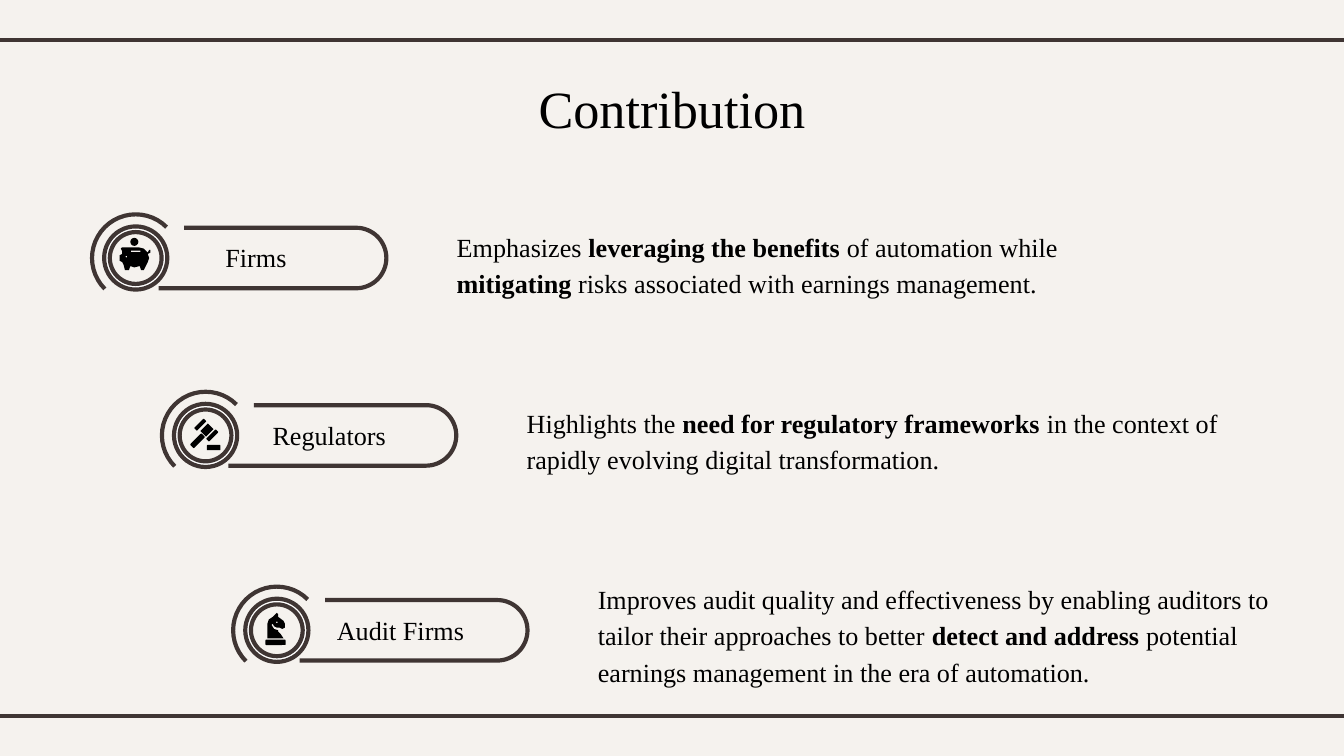
from math import cos, pi, sin

from lxml import etree
from pptx import Presentation
from pptx.dml.color import RGBColor
from pptx.enum.shapes import MSO_CONNECTOR, MSO_SHAPE as Shape
from pptx.enum.text import MSO_ANCHOR as Anchor, PP_ALIGN as Align
from pptx.oxml.ns import qn
from pptx.util import Inches, Pt

FONT = "Times New Roman"
PAPER, BROWN, BLACK, WHITE = "F5F2EE", "3F3533", "000000", "FFFFFF"

# Content: runs are (text, bold); centre is the middle of the round badge
TITLE = "Contribution"
ROWS = [
    {"label": "Firms", "label_width": 1.33, "icon": "piggy bank",
     "centre": (1.01, 1.92), "box": (3.3, 1.59, 4.94, 0.63),
     "runs": [("Emphasizes ", False), ("leveraging the benefits ", True),
              ("of automation while ", False), ("mitigating", True),
              (" risks associated with earnings management.", False)]},
    {"label": "Regulators", "label_width": 1.38, "icon": "gavel",
     "centre": (1.53, 3.24), "box": (3.82, 2.9, 5.89, 0.66),
     "runs": [("Highlights the ", False), ("need for regulatory frameworks ", True),
              ("in the context of rapidly evolving digital transformation.", False)]},
    {"label": "Audit Firms", "label_width": 1.38, "icon": "chess knight",
     "centre": (2.06, 4.69), "box": (4.35, 4.21, 5.5, 0.94),
     "runs": [("Improves audit quality and effectiveness by enabling auditors to "
               "tailor their approaches to better ", False),
              ("detect and address ", True),
              ("potential earnings management in the era of automation.", False)]},
]

# Icon outlines, measured from the badge centre
OUTLINES = {
    "piggy bank": [
        (-0.1, -0.08), (-0.11, -0.07), (-0.1, -0.05), (-0.1, -0.03), (-0.12, -0.02),
        (-0.12, 0.02), (-0.1, 0.03), (-0.09, 0.05), (-0.08, 0.09), (-0.05, 0.09),
        (-0.04, 0.06), (-0.01, 0.07), (0.03, 0.06), (0.04, 0.09), (0.06, 0.09),
        (0.09, 0.03), (0.1, 0), (0.09, -0.03), (0.11, -0.04), (0.11, -0.06),
        (0.1, -0.06), (0.09, -0.04), (0.06, -0.07), (0.02, -0.08)],
    "chess knight": [
        (0, -0.13), (-0.03, -0.1), (-0.06, -0.08), (-0.07, -0.05), (-0.07, 0.06),
        (0.05, 0.06), (0.03, 0.03), (0.01, 0.01), (0.01, 0), (-0.02, -0.01),
        (-0.04, -0.04), (-0.03, -0.05), (-0.02, -0.03), (0, -0.02), (0.02, -0.02),
        (0.04, -0.01), (0.06, -0.02), (0.06, -0.05), (0.05, -0.07), (0.01, -0.1),
        (0.01, -0.12)],
}
# Icon details: shape, centre x, centre y, width, height, rotation, colour
DETAILS = {
    "piggy bank": [
        (Shape.OVAL, -0.01, -0.12, 0.06, 0.06, 0, BLACK),
        (Shape.ROUNDED_RECTANGLE, 0, -0.05, 0.07, 0.01, 0, PAPER),
        (Shape.OVAL, -0.07, -0.01, 0.01, 0.01, 0, PAPER)],
    "gavel": [
        (Shape.ROUNDED_RECTANGLE, -0.04, -0.08, 0.1, 0.03, -45, BLACK),
        (Shape.ROUNDED_RECTANGLE, 0.05, 0, 0.1, 0.03, -45, BLACK),
        (Shape.RECTANGLE, 0.01, -0.04, 0.08, 0.06, -45, BLACK),
        (Shape.ROUNDED_RECTANGLE, -0.06, 0.04, 0.12, 0.04, -45, BLACK),
        (Shape.ROUND_2_SAME_RECTANGLE, 0.06, 0.09, 0.1, 0.04, 0, BLACK)],
    "chess knight": [
        (Shape.ROUNDED_RECTANGLE, -0.01, 0.09, 0.15, 0.04, 0, BLACK),
        (Shape.OVAL, 0, -0.06, 0.01, 0.01, 0, PAPER)],
}

# A 16:9 page
deck = Presentation()
deck.slide_width, deck.slide_height = Inches(10), Inches(10 * 9 / 16)
page = deck.slides.add_slide(deck.slide_layouts[6])


def color(value):
    return RGBColor.from_string(value)


def paint(shape, fill=None, line=None):
    shape.shadow.inherit = False
    if fill:
        shape.fill.solid()
        shape.fill.fore_color.rgb = color(fill)
    else:
        shape.fill.background()
    if line:
        shape.line.color.rgb = color(line)
        shape.line.width = Pt(2.25)
    else:
        shape.line.fill.background()


def add_centred(kind, x, y, width, height, fill=None, line=None):
    shape = page.shapes.add_shape(kind, Inches(x - width / 2), Inches(y - height / 2),
                                  Inches(width), Inches(height))
    paint(shape, fill, line)
    return shape


def add_outline(points, close, fill=None, line=None):
    start, *rest = [(Inches(x), Inches(y)) for x, y in points]
    builder = page.shapes.build_freeform(*start)
    builder.add_line_segments(rest, close=close)
    paint(builder.convert_to_shape(), fill, line)


def add_text(place, runs, size, align=Align.LEFT, inset=0.1, anchor=Anchor.TOP):
    box = page.shapes.add_textbox(*map(Inches, place))
    frame = box.text_frame
    frame.word_wrap = True
    frame.vertical_anchor = anchor
    frame.margin_top = frame.margin_bottom = Inches(inset)
    para = frame.paragraphs[0]
    para.alignment = align
    for text, bold in runs:
        span = para.add_run()
        span.text = text
        span.font.name, span.font.size, span.font.bold = FONT, Pt(size), bold
        span.font.color.rgb = color(BLACK)
    return para


def add_badge(x, y):
    # Pill open on the left, with a half-round right end
    radius = 0.225
    turns = [pi / 2 - pi * step / 32 for step in range(33)]
    bend = [(x + 1.64 + radius * cos(turn), y + radius * sin(turn)) for turn in turns]
    add_outline([(x + 0.17, y + radius), *bend, (x + 0.36, y - radius)], False, line=BROWN)
    # Ring and the half circle around it
    ring = add_centred(Shape.DONUT, x, y, 0.47, 0.47, WHITE, BROWN)
    ring.adjustments[0] = 0.09
    arc = add_centred(Shape.ARC, x, y, 0.65, 0.65, line=BROWN)
    for index, degrees in enumerate((135, 315)):
        arc.adjustments[index] = degrees * 0.6


def add_icon(name, x, y):
    if name in OUTLINES:
        add_outline([(x + dx, y + dy) for dx, dy in OUTLINES[name]], True, BLACK)
    for kind, dx, dy, width, height, rotation, fill in DETAILS[name]:
        add_centred(kind, x + dx, y + dy, width, height, fill).rotation = rotation


# Background and the two rules
page.background.fill.solid()
page.background.fill.fore_color.rgb = color(PAPER)
for y in (0.3, 5.33):
    rule = page.shapes.add_connector(MSO_CONNECTOR.STRAIGHT, Inches(-0.08), Inches(y),
                                     Inches(10.08), Inches(y))
    rule.line.color.rgb = color(BROWN)
    rule.line.width = Pt(2.25)
    etree.SubElement(rule._element.spPr, qn("a:effectLst"))

# Title
add_text((0.33, 0.47, 9.34, 0.63), [(TITLE, False)], 28, Align.CENTER)

# Rows: badge, label, icon and statement
for row in ROWS:
    x, y = row["centre"]
    add_badge(x, y)
    add_text((x + 0.23, y - 0.17, row["label_width"], 0.34), [(row["label"], False)],
             14, Align.CENTER, inset=0.05)
    add_icon(row["icon"], x, y)
    statement = add_text(row["box"], row["runs"], 14)
    statement.line_spacing = 1.15
    statement.space_after = Pt(12)

deck.save("out.pptx")
